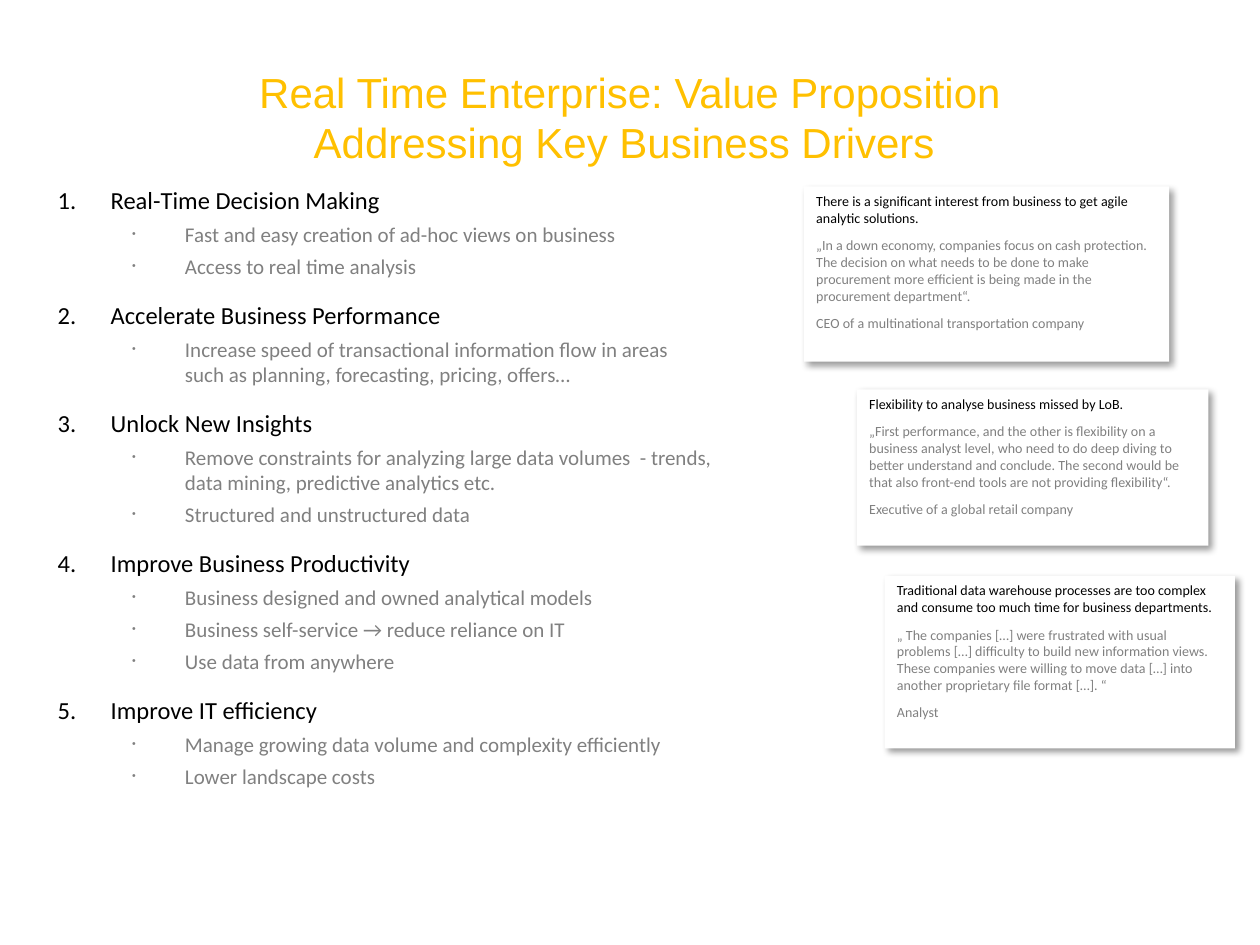
from dataclasses import dataclass

from lxml import etree
from pptx import Presentation
from pptx.dml.color import RGBColor
from pptx.enum.shapes import MSO_SHAPE
from pptx.enum.text import MSO_ANCHOR, PP_ALIGN
from pptx.oxml.ns import qn
from pptx.util import Inches, Pt

RECT = MSO_SHAPE.RECTANGLE
TOP, MIDDLE = MSO_ANCHOR.TOP, MSO_ANCHOR.MIDDLE
LEFT, CENTER = PP_ALIGN.LEFT, PP_ALIGN.CENTER
WIDTH, HEIGHT = 10, 7.5


@dataclass(frozen=True)
class Theme:
    """Colours, fonts and type sizes of the slide."""
    accent: str = "FFC000"
    strong: str = "000000"
    muted: str = "808080"
    paper: str = "FFFFFF"
    title_font: str = "Arial"
    body_font: str = "Calibri"
    title: int = 24
    driver: int = 14
    point: int = 12
    quote: int = 8


def add_xml(parent, tag, **attrs):
    """Append a DrawingML element and return it."""
    return etree.SubElement(parent, qn(tag), {k: str(v) for k, v in attrs.items()})


class Deck:
    """Holds the theme and the current slide."""

    def __init__(self, theme):
        """Start a presentation with one blank slide."""
        self.theme = theme
        self.prs = Presentation()
        self.prs.slide_width, self.prs.slide_height = Inches(WIDTH), Inches(HEIGHT)
        self.s = self.prs.slides.add_slide(self.prs.slide_layouts[6])

    def box(self, x, y, w, h):
        """Turn shares of the slide's size into lengths."""
        pw, ph = self.prs.slide_width, self.prs.slide_height
        return int(x * pw), int(y * ph), int(w * pw), int(h * ph)

    def frame(self, sp, anchor=TOP):
        """Prepare a shape's text frame for wrapped text."""
        tf = sp.text_frame
        tf.word_wrap = True
        tf.vertical_anchor = anchor
        return tf

    def run(self, p, text, size, color, font):
        """Add one styled run to a paragraph."""
        r = p.add_run()
        r.text = text
        r.font.size, r.font.name = Pt(size), font
        r.font.color.rgb = RGBColor.from_string(color)

    def paragraph(self, tf, text, size, color, before=0):
        """Add a left-aligned body paragraph, using the empty first one if free."""
        first = tf.paragraphs[0]
        p = tf.add_paragraph() if first.runs else first
        p.alignment = LEFT
        p.space_before = Pt(before)
        self.run(p, text, size, color, self.theme.body_font)
        return p

    def title(self, lines, *place):
        """Add the centred heading."""
        t = self.theme
        p = self.frame(self.s.shapes.add_textbox(*self.box(*place)), MIDDLE).paragraphs[0]
        p.alignment = CENTER
        for i, line in enumerate(lines):
            if i:
                p.add_line_break()
            self.run(p, line, t.title, t.accent, t.title_font)

    def indent(self, p, margin):
        """Give a paragraph a hanging indent and return its properties."""
        pPr = p._p.get_or_add_pPr()
        pPr.set("marL", str(Inches(margin)))
        pPr.set("indent", str(-Inches(0.42)))
        return pPr

    def outline(self, drivers, *place):
        """Add the numbered drivers with their bulleted points."""
        t = self.theme
        tf = self.frame(self.s.shapes.add_textbox(*self.box(*place)))
        for i, (driver, points) in enumerate(drivers):
            p = self.paragraph(tf, driver, t.driver, t.strong, 12 if i else 4)
            add_xml(self.indent(p, 0.42), "a:buAutoNum", type="arabicPeriod")
            for point in points:
                p = self.paragraph(tf, point, t.point, t.muted, 4)
                p.level = 1
                pPr = self.indent(p, 1.01)
                add_xml(pPr, "a:buSzPct", val=50000)
                add_xml(pPr, "a:buFont", typeface=t.title_font)
                add_xml(pPr, "a:buChar", char="•")

    def card(self, texts, *place):
        """Add a shadowed card with a claim, a quote and its source."""
        t = self.theme
        sp = self.s.shapes.add_shape(RECT, *self.box(*place))
        sp.fill.solid()
        sp.fill.fore_color.rgb = RGBColor.from_string(t.paper)
        sp.line.fill.background()
        sp.shadow.inherit = False
        shadow = add_xml(sp._element.spPr.find(qn("a:effectLst")), "a:outerShdw",
                         blurRad=Pt(4), dist=Pt(3), dir=45 * 60000, algn="tl", rotWithShape=0)
        add_xml(add_xml(shadow, "a:srgbClr", val=t.strong), "a:alpha", val=40000)
        tf = self.frame(sp)
        for i, text in enumerate(texts):
            self.paragraph(tf, text, t.quote, t.muted if i else t.strong, 6 if i else 0)


TITLE = ["Real Time Enterprise: Value Proposition", "Addressing Key Business Drivers "]
DRIVERS = [
    ("Real-Time Decision Making",
     ["Fast and easy creation of ad-hoc views on business", "Access to real time analysis"]),
    ("Accelerate Business Performance",
     ["Increase speed of transactional information flow in areas such as planning, "
      "forecasting, pricing, offers…"]),
    ("Unlock New Insights",
     ["Remove constraints for analyzing large data volumes  - trends, data mining, "
      "predictive analytics etc.", "Structured and unstructured data"]),
    ("Improve Business Productivity",
     ["Business designed and owned analytical models",
      "Business self-service → reduce reliance on IT", "Use data from anywhere"]),
    ("Improve IT efficiency",
     ["Manage growing data volume and complexity efficiently", "Lower landscape costs"]),
]
CARDS = [
    ((6.38, 1.48, 2.9, 1.39),
     ["There is a significant interest from business to get agile analytic solutions.",
      "„In a down economy, companies focus on cash protection.  The decision on what needs "
      "to be done to make procurement more efficient is being made in the procurement "
      "department“.",
      "CEO of a multinational transportation company"]),
    ((6.8, 3.09, 2.79, 1.24),
     ["Flexibility to analyse business missed by LoB.",
      "„First performance, and the other is flexibility on a business analyst level, who "
      "need to do deep diving to better understand and conclude. The second would be that "
      "also front-end tools are not providing flexibility“.",
      "Executive of a global retail company"]),
    ((7.02, 4.57, 2.78, 1.37),
     ["Traditional data warehouse processes are too complex and consume too much time for "
      "business departments.",
      "„ The companies […] were frustrated with usual problems […] difficulty to build new "
      "information views. These companies were willing to move data […] into another "
      "proprietary file format […]. “",
      "Analyst"]),
]


def share(x, y, w, h):
    """Express inches as shares of the slide's size."""
    return x / WIDTH, y / HEIGHT, w / WIDTH, h / HEIGHT


def main():
    """Build and save the slide."""
    deck = Deck(Theme())
    deck.title(TITLE, *share(0.5, 0.3, 9, 1.25))
    deck.outline(DRIVERS, *share(0.36, 1.42, 5.39, 5.7))
    for place, texts in CARDS:
        deck.card(texts, *share(*place))
    deck.prs.save("out.pptx")


if __name__ == "__main__":
    main()
